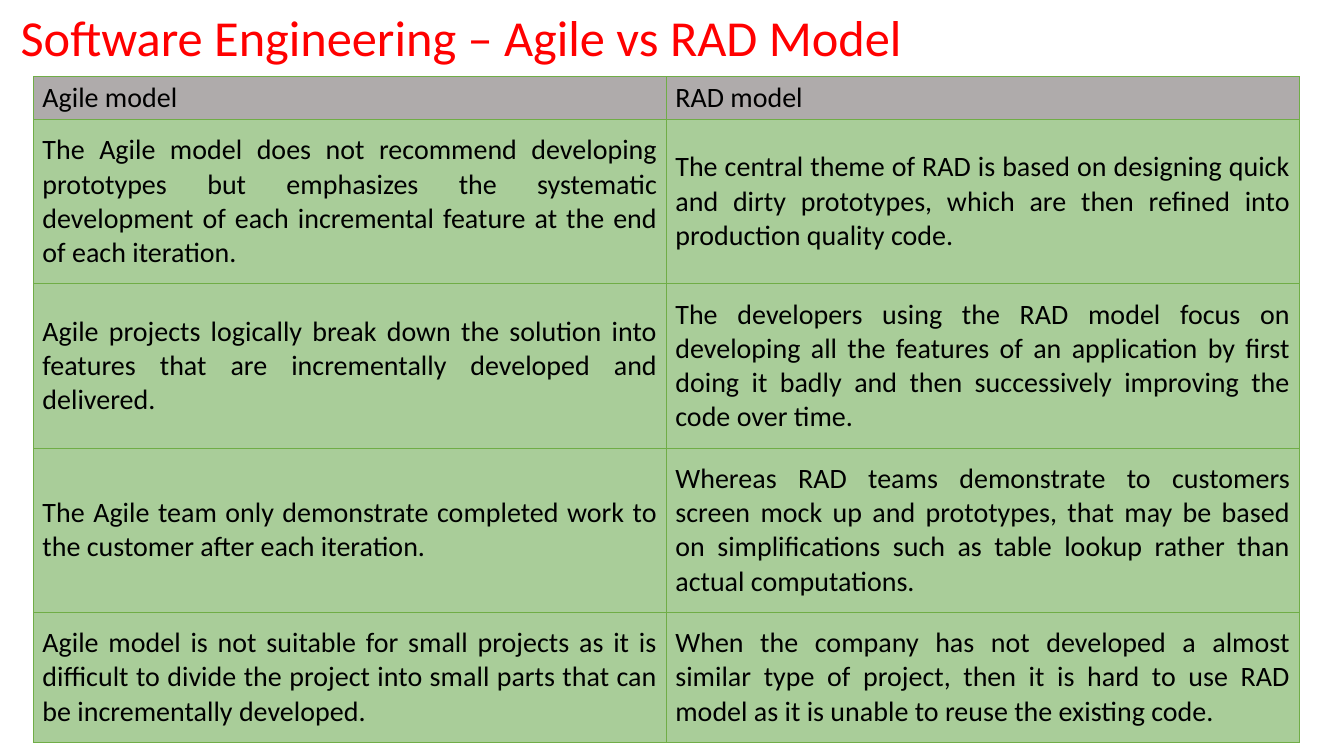
import dataclasses

import lxml.etree
import pptx
import pptx.dml.color
import pptx.enum.text
import pptx.oxml.ns
import pptx.util

Cm = pptx.util.Cm
Pt = pptx.util.Pt
RGB = pptx.dml.color.RGBColor.from_string
Align = pptx.enum.text.PP_ALIGN
Anchor = pptx.enum.text.MSO_ANCHOR
qn = pptx.oxml.ns.qn

ROWS = [
    ("Agile model", "RAD model"),
    ("The Agile model does not recommend developing prototypes but emphasizes the systematic "
     "development of each incremental feature at the end of each iteration.",
     "The central theme of RAD is based on designing quick and dirty prototypes, which are then "
     "refined into production quality code."),
    ("Agile projects logically break down the solution into features that are incrementally "
     "developed and delivered.",
     "The developers using the RAD model focus on developing all the features of an application "
     "by first doing it badly and then successively improving the code over time."),
    ("The Agile team only demonstrate completed work to the customer after each iteration.",
     "Whereas RAD teams demonstrate to customers screen mock up and prototypes, that may be based "
     "on simplifications such as table lookup rather than actual computations."),
    ("Agile model is not suitable for small projects as it is difficult to divide the project "
     "into small parts that can be incrementally developed.",
     "When the company has not developed a almost similar type of project, then it is hard to "
     "use RAD model as it is unable to reuse the existing code."),
]
HEIGHTS = [1.08, 4.14, 4.14, 4.14, 3.28]


@dataclasses.dataclass
class Theme:
    font: str = "Calibri"
    title: str = "FF0000"
    text: str = "000000"
    head: str = "AFABAB"
    body: str = "A9CD99"
    edge: str = "70AD47"
    big: int = 36
    small: int = 20
    rule: float = 0.5


class Deck:
    """Draws styled elements on the current slide."""

    def __init__(self, theme):
        self.theme = theme
        self.show = pptx.Presentation()
        self.show.slide_width = Cm(33.87)
        self.show.slide_height = Cm(19.05)
        self.slide = self.show.slides.add_slide(self.show.slide_layouts[6])

    def style(self, font, size, color):
        font.name = self.theme.font
        font.size = Pt(size)
        font.color.rgb = RGB(color)

    def title(self, text, left, top, width, height):
        box = self.slide.shapes.add_textbox(Cm(left), Cm(top), Cm(width), Cm(height))
        frame = box.text_frame
        frame.word_wrap = True
        frame.vertical_anchor = Anchor.BOTTOM
        frame.margin_left = frame.margin_right = frame.margin_top = frame.margin_bottom = 0
        para = frame.paragraphs[0]
        para.text = text
        para.line_spacing = 0.8
        self.style(para.font, self.theme.big, self.theme.title)

    def border(self, cell):
        props = cell._tc.get_or_add_tcPr()
        for spot, side in enumerate(("a:lnL", "a:lnR", "a:lnT", "a:lnB")):
            line = lxml.etree.Element(qn(side), w=str(Pt(self.theme.rule)))
            fill = lxml.etree.SubElement(line, qn("a:solidFill"))
            lxml.etree.SubElement(fill, qn("a:srgbClr"), val=self.theme.edge)
            props.insert(spot, line)

    def cell(self, cell, text, head):
        cell.fill.solid()
        cell.fill.fore_color.rgb = RGB(self.theme.head if head else self.theme.body)
        cell.vertical_anchor = Anchor.MIDDLE
        cell.margin_left = cell.margin_right = Cm(0.23)
        cell.margin_top = cell.margin_bottom = Cm(0.1 if head else 0.33)
        para = cell.text_frame.paragraphs[0]
        para.text = text
        para.alignment = Align.LEFT if head else Align.JUSTIFY
        self.style(para.font, self.theme.small, self.theme.text)
        para.font.bold = False
        self.border(cell)

    def table(self, rows, heights, left, top, width):
        grid = self.slide.shapes.add_table(
            len(rows), len(rows[0]), Cm(left), Cm(top), Cm(width), Cm(sum(heights))).table
        grid.horz_banding = False
        for r, (texts, height) in enumerate(zip(rows, heights)):
            grid.rows[r].height = Cm(height)
            for c, text in enumerate(texts):
                self.cell(grid.cell(r, c), text, r == 0)


def main():
    deck = Deck(Theme())
    deck.title("Software Engineering – Agile vs RAD Model", 0.52, 0.38, 30.9, 1.3)
    deck.table(ROWS, HEIGHTS, 0.84, 1.93, 31.9)
    deck.show.save("out.pptx")


if __name__ == "__main__":
    main()
